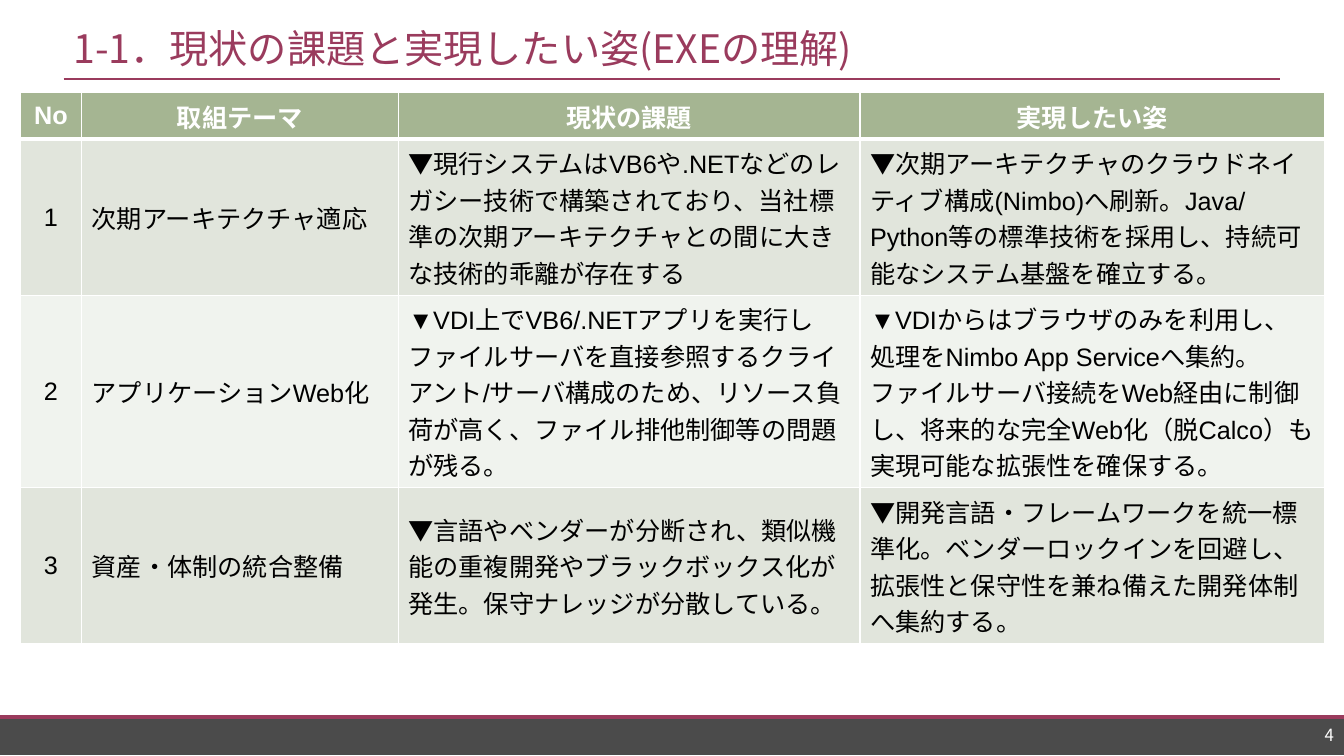
from lxml import etree
from pptx import Presentation
from pptx import util as u
from pptx.dml.color import RGBColor
from pptx.enum import shapes, text
from pptx.oxml import ns

WINE = RGBColor(0x9A, 0x3B, 0x5D)
GRAY = RGBColor(0x4B, 0x4B, 0x4B)
SAGE = RGBColor(0xA5, 0xB5, 0x92)
PALE = RGBColor(0xE1, 0xE5, 0xDC)
MIST = RGBColor(0xF0, 0xF3, 0xEE)
WHITE = RGBColor(0xFF, 0xFF, 0xFF)
BLACK = RGBColor(0, 0, 0)
SANS = "Noto Sans CJK JP"
LEFT, MID, RIGHT = text.PP_ALIGN.LEFT, text.PP_ALIGN.CENTER, text.PP_ALIGN.RIGHT

deck = Presentation()
GRID = u.Inches(0.01)
COLS, ROWS = 1333, 750
deck.slide_width, deck.slide_height = COLS * GRID, ROWS * GRID
page = deck.slides.add_slide(deck.slide_layouts[6])


def write(frame, words, size=18, font="Arial", color=BLACK, bold=False, align=LEFT):
    frame.word_wrap = True
    para = frame.paragraphs[0]
    para.text = words
    para.alignment = align
    for run in para.runs:
        run.font.size = u.Pt(size)
        run.font.name = font
        run.font.bold = bold
        run.font.color.rgb = color
        east = etree.SubElement(run.font._element, ns.qn("a:ea"))
        east.set("typeface", SANS)


def edge(cell, side, width):
    line = etree.SubElement(cell._tc.get_or_add_tcPr(), ns.qn("a:ln" + side))
    line.set("w", str(u.Pt(width)))
    fill = etree.SubElement(line, ns.qn("a:solidFill"))
    etree.SubElement(fill, ns.qn("a:srgbClr")).set("val", str(WHITE))


foot = page.shapes.add_shape(shapes.MSO_SHAPE.RECTANGLE, 0, 710 * GRID, COLS * GRID, 39 * GRID)
foot.shadow.inherit = False
foot.fill.solid()
foot.fill.fore_color.rgb = GRAY
foot.line.fill.background()

for start, end, top, width in [(0, COLS, 711, 2.75), (63, 1270, 78, 1.5)]:
    rule = page.shapes.add_connector(
        shapes.MSO_CONNECTOR.STRAIGHT, start * GRID, top * GRID, end * GRID, top * GRID)
    rule.line.color.rgb = WINE
    rule.line.width = u.Pt(width)
    etree.SubElement(rule._element.spPr, ns.qn("a:effectLst"))

head = ["No", "取組テーマ", "現状の課題", "実現したい姿"]
plans = [
    ("次期アーキテクチャ適応",
     "▼現行システムはVB6や.NETなどのレガシー技術で構築されており、当社標準の次期アーキテクチャとの間に大きな技術的乖離が存在する",
     "▼次期アーキテクチャのクラウドネイティブ構成(Nimbo)へ刷新。Java/Python等の標準技術を採用し、持続可能なシステム基盤を確立する。"),
    ("アプリケーションWeb化",
     "▼VDI上でVB6/.NETアプリを実行しファイルサーバを直接参照するクライアント/サーバ構成のため、リソース負荷が高く、ファイル排他制御等の問題が残る。",
     "▼VDIからはブラウザのみを利用し、処理をNimbo App Serviceへ集約。\vファイルサーバ接続をWeb経由に制御し、将来的な完全Web化（脱Calco）も実現可能な拡張性を確保する。"),
    ("資産・体制の統合整備",
     "▼言語やベンダーが分断され、類似機能の重複開発やブラックボックス化が発生。保守ナレッジが分散している。",
     "▼開発言語・フレームワークを統一標準化。ベンダーロックインを回避し、拡張性と保守性を兼ね備えた開発体制へ集約する。"),
]
cells = [head] + [[str(num), *plan] for num, plan in enumerate(plans, 1)]
wide = [61, 314, 458, 461]
tall = [43] + [98] * len(plans)
table = page.shapes.add_table(
    len(tall), len(wide), 20 * GRID, 92 * GRID, sum(wide) * GRID, sum(tall) * GRID).table
for col, width in zip(table.columns, wide):
    col.width = width * GRID
for row, height in zip(table.rows, tall):
    row.height = height * GRID

for r, line in enumerate(cells):
    top = r == 0
    for c, words in enumerate(line):
        cell = table.cell(r, c)
        for side in "LRTB":
            thick = (top and side == "B") or (r == 1 and side == "T")
            edge(cell, side, 3 if thick else 1)
        cell.fill.solid()
        cell.fill.fore_color.rgb = SAGE if top else PALE if r % 2 else MIST
        cell.vertical_anchor = text.MSO_ANCHOR.MIDDLE
        write(cell.text_frame, words, color=WHITE if top else BLACK, bold=top,
              align=MID if top or c == 0 else LEFT)

labels = [
    ((63, 20, 1207, 55), "1-1．現状の課題と実現したい姿(EXEの理解)", 28, WINE, LEFT),
    ((1176, 717, 157, 24), "4", 12, WHITE, RIGHT),
]
for place, words, size, color, align in labels:
    box = page.shapes.add_textbox(*[n * GRID for n in place])
    box.text_frame.vertical_anchor = text.MSO_ANCHOR.MIDDLE
    write(box.text_frame, words, size=size, font=SANS, color=color, align=align)

deck.save("out.pptx")
